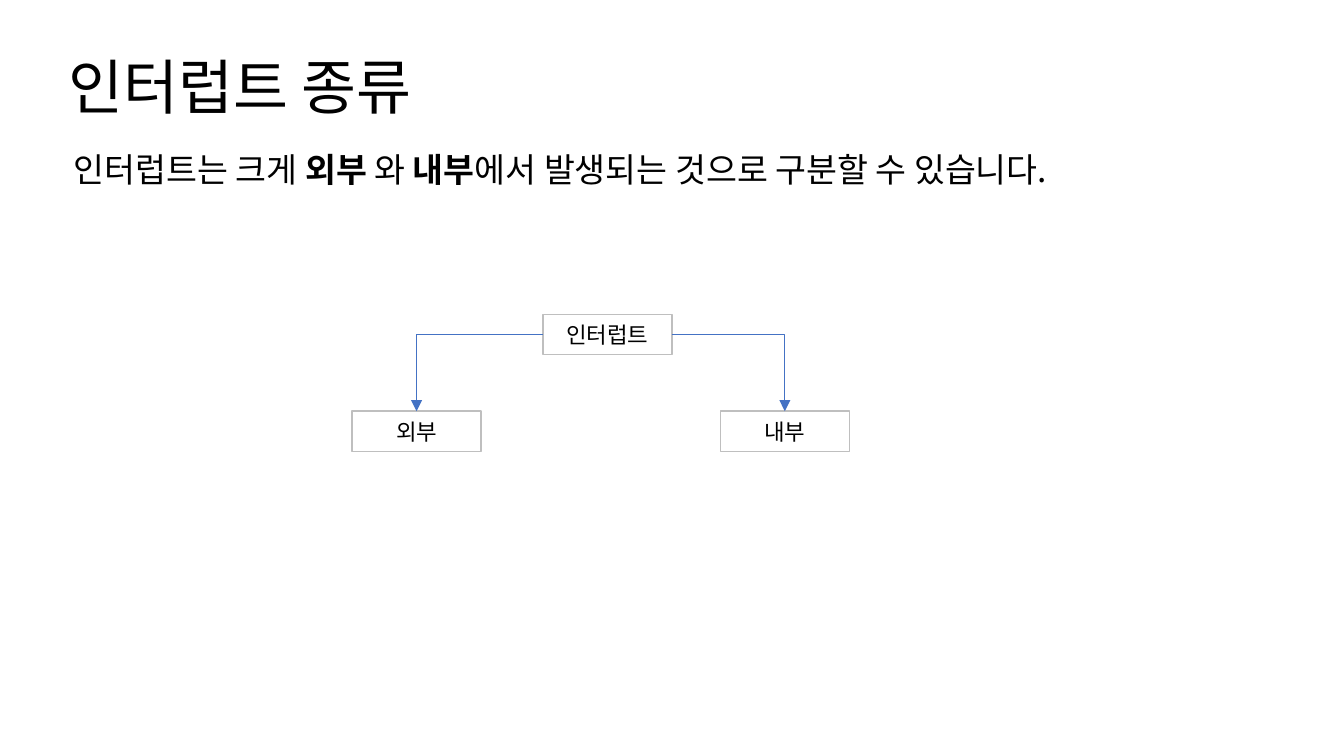
from lxml import etree
from pptx import Presentation
from pptx.dml.color import RGBColor
from pptx.enum.shapes import MSO_CONNECTOR, MSO_SHAPE
from pptx.enum.text import MSO_ANCHOR, MSO_AUTO_SIZE, PP_ALIGN
from pptx.oxml.ns import qn
from pptx.util import Inches, Pt

RECT, ELBOW = MSO_SHAPE.RECTANGLE, MSO_CONNECTOR.ELBOW
MIDDLE, NO_FIT = MSO_ANCHOR.MIDDLE, MSO_AUTO_SIZE.NONE
LEFT, CENTER = PP_ALIGN.LEFT, PP_ALIGN.CENTER
TOP_SIDE, LEFT_SIDE, RIGHT_SIDE = 0, 1, 3

TITLE = "인터럽트 종류"
SENTENCE = [("인터럽트는 크게 ", False), ("외부", True), (" 와 ", False),
            ("내부", True), ("에서 발생되는 것으로 구분할 수 있습니다.", False)]
ROOT = ("인터럽트", 4.04, 2.34)
CHILDREN = [("외부", 2.62, 3.06, LEFT_SIDE), ("내부", 5.36, 3.06, RIGHT_SIDE)]
BOX_W, BOX_H = 0.96, 0.3
KOREAN, LATIN = "Noto Sans CJK KR", "Calibri"
BLACK, GRAY, BLUE = "000000", "BFBFBF", "4472C4"


def color(hex_code):
    return RGBColor.from_string(hex_code)


def style(p, size, name, align):
    p.alignment = align
    font = p.font
    font.size, font.name = Pt(size), name
    font.color.rgb = color(BLACK)


def set_east_asian(p, name):
    """Give the Hangul of every run the named font."""
    for r in p.runs:
        r.font.name = name
        etree.SubElement(r.font._element, qn("a:ea")).set("typeface", name)


def set_frame(tf):
    tf.word_wrap, tf.auto_size, tf.vertical_anchor = True, NO_FIT, MIDDLE


def add_box(shapes, text, x, y):
    s = shapes.add_shape(RECT, Inches(x), Inches(y), Inches(BOX_W), Inches(BOX_H))
    s.shadow.inherit = False
    s.fill.background()
    s.line.color.rgb, s.line.width = color(GRAY), Pt(0.75)
    set_frame(s.text_frame)
    p = s.text_frame.paragraphs[0]
    p.text = text
    style(p, 12, LATIN, CENTER)
    return s


def add_arrow(shapes, start, side, end):
    """Join a side of start to the top of end with a single right-angle bend."""
    c = shapes.add_connector(ELBOW, 0, 0, 0, 0)
    c.begin_connect(start, side)
    c.end_connect(end, TOP_SIDE)
    c.line.color.rgb, c.line.width = color(BLUE), Pt(0.5)
    sp_pr = c._element.spPr
    sp_pr.find(qn("a:prstGeom")).set("prst", "bentConnector2")
    etree.SubElement(sp_pr.find(qn("a:ln")), qn("a:tailEnd")).set("type", "triangle")
    etree.SubElement(sp_pr, qn("a:effectLst"))


prs = Presentation()
prs.slide_width = Inches(10)
prs.slide_height = prs.slide_width * 9 // 16
slide = prs.slides.add_slide(prs.slide_layouts[5])
shapes = slide.shapes

title = shapes.title
title.left, title.top, title.width, title.height = map(Inches, (0.41, 0.32, 4.72, 0.64))
set_frame(title.text_frame)
p = title.text_frame.paragraphs[0]
p.text = TITLE
style(p, 32, KOREAN, LEFT)
set_east_asian(p, KOREAN)

sentence = shapes.add_textbox(*map(Inches, (0.45, 1.06, 7.97, 0.4)))
set_frame(sentence.text_frame)
p = sentence.text_frame.paragraphs[0]
for text, bold in SENTENCE:
    r = p.add_run()
    r.text, r.font.bold = text, bold
style(p, 18, KOREAN, LEFT)
set_east_asian(p, KOREAN)

root = add_box(shapes, *ROOT)
for text, x, y, side in CHILDREN:
    add_arrow(shapes, root, side, add_box(shapes, text, x, y))

prs.save("out.pptx")
